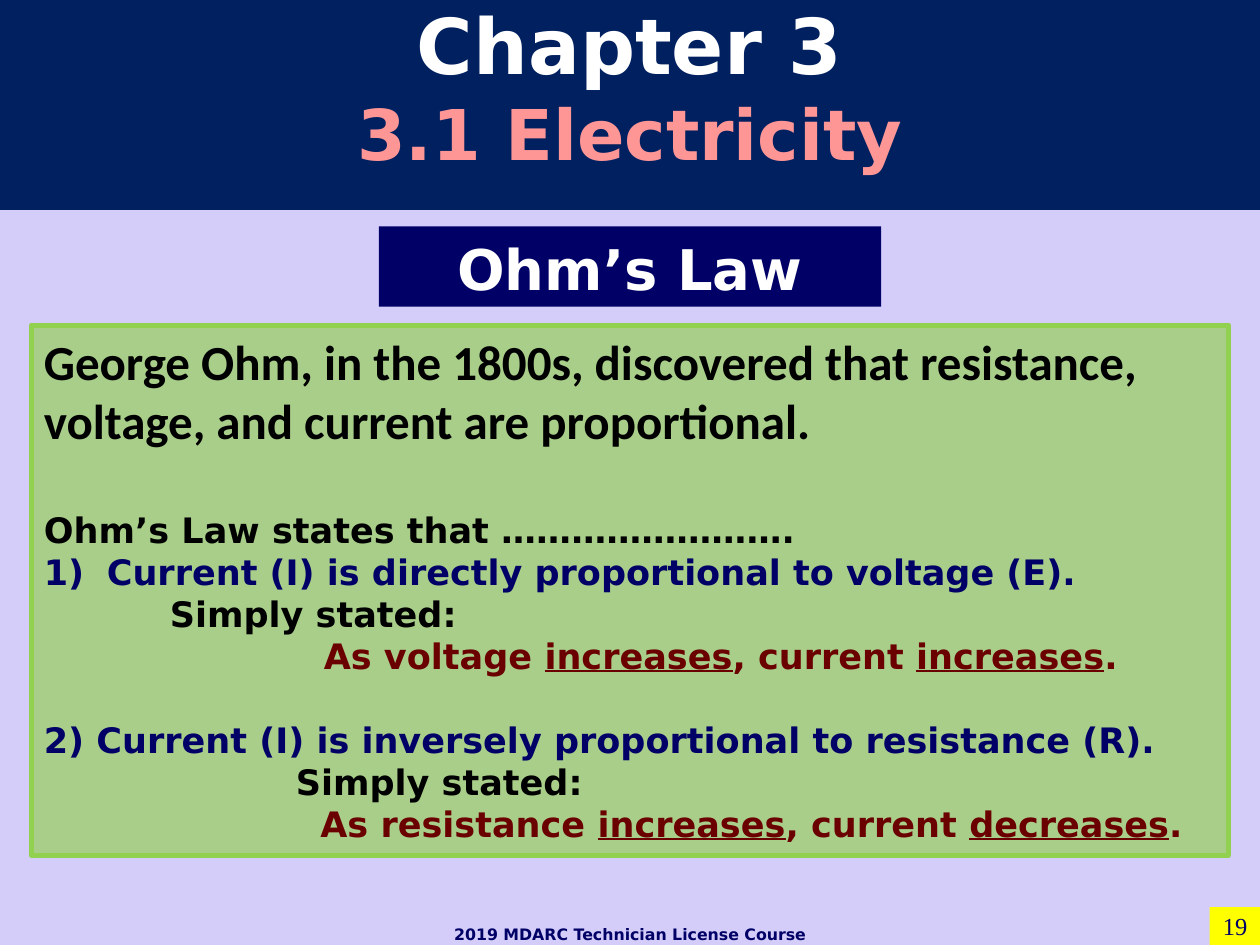
from dataclasses import dataclass

from lxml import etree
from pptx import Presentation
from pptx.dml.color import RGBColor
from pptx.enum import shapes, text
from pptx.oxml import ns
from pptx.util import Pt


@dataclass(frozen=True)
class Theme:
    """Colours, fonts and type sizes of the deck."""
    backdrop: str = "D4CDFA"
    banner: str = "002060"
    navy: str = "000066"
    white: str = "FFFFFF"
    salmon: str = "FF9696"
    green: str = "92D050"
    yellow: str = "FFFF00"
    black: str = "000000"
    maroon: str = "6A0000"
    sans: str = "DejaVu Sans"
    body: str = "Calibri"
    serif: str = "Times New Roman"
    chapter: int = 44
    section: int = 40
    heading: int = 32
    intro: int = 28
    law: int = 20
    number: int = 14
    footer: int = 9


THEME = Theme()


def place(shape, box):
    """Move and size a shape to a left, top, width, height box in points."""
    shape.left, shape.top, shape.width, shape.height = map(Pt, box)


def paint(shape, colour, opacity=100):
    """Fill a shape with a colour, partly transparent if asked."""
    shape.fill.solid()
    shape.fill.fore_color.rgb = RGBColor.from_string(colour)
    if opacity < 100:
        tint = shape.fill._xPr.find(".//" + ns.qn("a:srgbClr"))
        etree.SubElement(tint, ns.qn("a:alpha"), val=str(opacity * 1000))


def add_panel(page, box, colour, opacity=100):
    """Add a plain filled rectangle without outline or shadow."""
    panel = page.shapes.add_shape(shapes.MSO_SHAPE.RECTANGLE, *map(Pt, box))
    panel.shadow.inherit = False
    panel.line.fill.background()
    paint(panel, colour, opacity)
    return panel


def set_frame(shape, anchor=text.MSO_ANCHOR.MIDDLE):
    """Give a shape a wrapping text frame with standard margins."""
    frame = shape.text_frame
    frame.word_wrap = True
    frame.auto_size = text.MSO_AUTO_SIZE.NONE
    frame.vertical_anchor = anchor
    frame.margin_left = frame.margin_right = Pt(7.2)
    frame.margin_top = frame.margin_bottom = Pt(3.6)
    return frame


def write(frame, words, size, colour, font=THEME.sans, bold=True,
          align=text.PP_ALIGN.CENTER, leading=None, before=0, indent=0,
          numbered=False):
    """Write a paragraph in which every second part between bars is underlined."""
    para = frame.paragraphs[0]
    if para.runs:
        para = frame.add_paragraph()
    para.alignment = align
    para.space_before, para.space_after = Pt(before), Pt(0)
    para.line_spacing = Pt(leading) if leading else 1.0
    props = para._p.get_or_add_pPr()
    props.set("marL", str(Pt(indent)))
    props.set("indent", str(Pt(-indent if numbered else 0)))
    if numbered:
        etree.SubElement(props, ns.qn("a:buFont"), typeface=font)
        etree.SubElement(props, ns.qn("a:buAutoNum"), type="arabicParenR")
    else:
        etree.SubElement(props, ns.qn("a:buNone"))
    for place_in_line, part in enumerate(words.split("|")):
        span = para.add_run()
        span.text = part
        span.font.name, span.font.size, span.font.bold = font, Pt(size), bold
        span.font.color.rgb = RGBColor.from_string(colour)
        if place_in_line % 2:
            span.font.underline = True


def build_title(page, box):
    """Format the title placeholder as the chapter banner."""
    title = page.shapes.title
    place(title, box)
    paint(title, THEME.banner)
    frame = set_frame(title, text.MSO_ANCHOR.TOP)
    write(frame, "Chapter 3", THEME.chapter, THEME.white, leading=54)
    write(frame, "3.1 Electricity", THEME.section, THEME.salmon, leading=48)


def build_heading(page, box):
    """Add the topic heading."""
    frame = set_frame(add_panel(page, box, THEME.navy))
    write(frame, "Ohm’s Law", THEME.heading, THEME.white, leading=40)


def build_laws(page, box):
    """Add the framed statement of the law."""
    panel = add_panel(page, box, THEME.green, opacity=66)
    panel.line.color.rgb = RGBColor.from_string(THEME.green)
    panel.line.width = Pt(3)
    frame = set_frame(panel, text.MSO_ANCHOR.TOP)
    write(frame, "George Ohm, in the 1800s, discovered that resistance, "
          "voltage, and current are proportional.", THEME.intro, THEME.black,
          font=THEME.body, align=text.PP_ALIGN.LEFT)
    lines = [
        ("Ohm’s Law states that …………………….", THEME.black, 0, 34, False),
        ("Current (I) is directly proportional to voltage (E).",
         THEME.navy, 36, 0, True),
        ("Simply stated:", THEME.black, 72, 0, False),
        ("As voltage |increases|, current |increases|.",
         THEME.maroon, 160, 0, False),
        ("2) Current (I) is inversely proportional to resistance (R).",
         THEME.navy, 0, 24, False),
        ("Simply stated:", THEME.black, 144, 0, False),
        ("As resistance |increases|, current |decreases|.",
         THEME.maroon, 158, 0, False),
    ]
    for words, colour, indent, before, numbered in lines:
        write(frame, words, THEME.law, colour, align=text.PP_ALIGN.LEFT,
              leading=24, before=before, indent=indent, numbered=numbered)


def build_number(page, box):
    """Add the page number tag."""
    frame = set_frame(add_panel(page, box, THEME.yellow))
    write(frame, "19", THEME.number, THEME.navy, font=THEME.serif, bold=False,
          align=text.PP_ALIGN.RIGHT)


def build_footer(page, box):
    """Add the course name at the foot of the page."""
    frame = set_frame(page.shapes.add_textbox(*map(Pt, box)))
    write(frame, "2019 MDARC Technician License Course", THEME.footer,
          THEME.navy)


def main():
    """Build and save the deck."""
    deck = Presentation()
    deck.slide_width, deck.slide_height = Pt(720), Pt(540)
    page = deck.slides.add_slide(deck.slide_layouts[5])
    page.background.fill.solid()
    page.background.fill.fore_color.rgb = RGBColor.from_string(THEME.backdrop)
    build_title(page, (0, -6, 720, 126))
    build_heading(page, (216.5, 129.3, 287, 46))
    build_laws(page, (18, 185.8, 684, 303))
    build_number(page, (691.2, 518.4, 28.8, 21.6))
    build_footer(page, (252, 526.5, 216, 14.4))
    deck.save("out.pptx")


if __name__ == "__main__":
    main()
